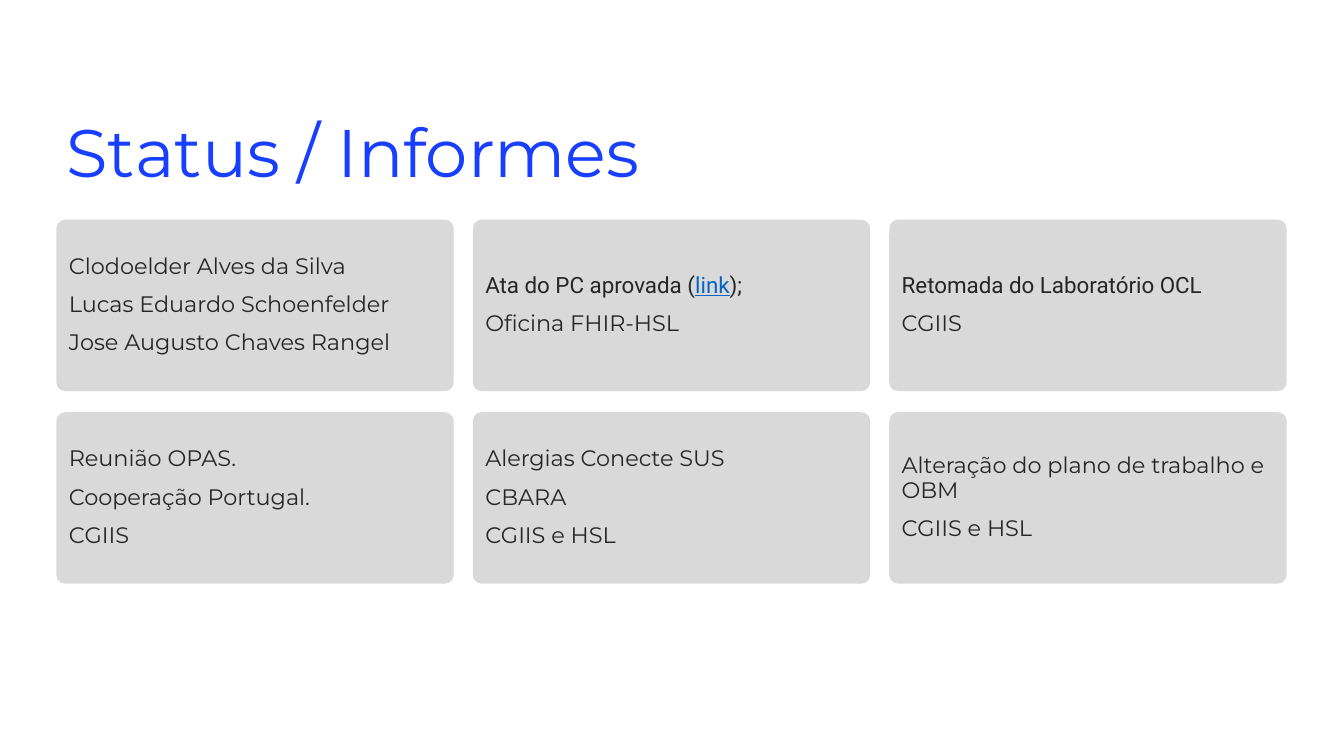
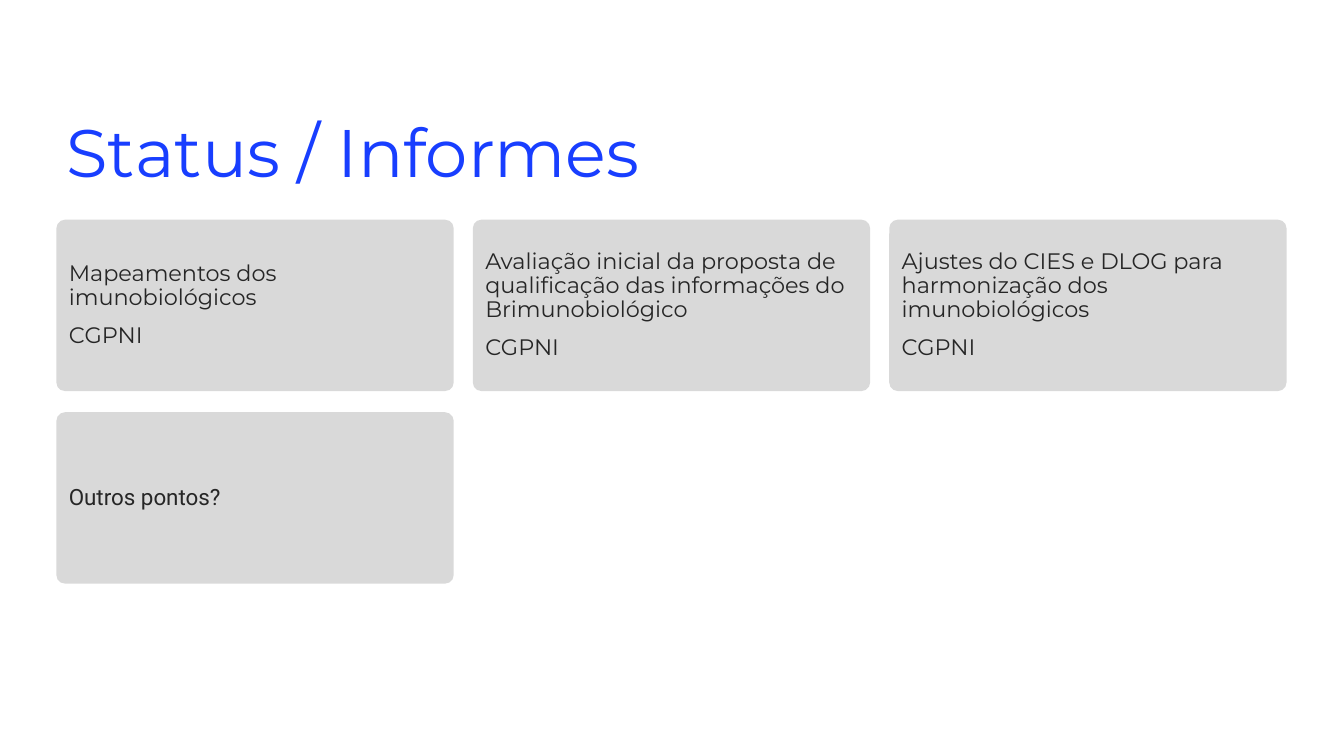
"""Build the two status slides, each a title over a grid of rounded cards."""
import pptx
import pptx.util
import pptx.dml.color
import pptx.enum.shapes
import pptx.enum.text

RGB = pptx.dml.color.RGBColor
ANCHOR = pptx.enum.text.MSO_ANCHOR
ALIGN = pptx.enum.text.PP_ALIGN
BLUE = RGB(0x18, 0x3E, 0xFF)
GRAY = RGB(0xD9, 0xD9, 0xD9)
INK = RGB(0x26, 0x26, 0x26)
LINK = RGB(0x05, 0x63, 0xC1)
MAIN = "Montserrat"
ALT = "Roboto"

SCALE = 9144
LEFT, TOP = 56, 218
WIDTH, HEIGHT = 394, 170
STEP_X, STEP_Y = 413, 191
COLS = 3

TITLE = "Status / Informes"
SLIDES = [
    [
        ["Clodoelder Alves da Silva", "Lucas Eduardo Schoenfelder",
         "Jose Augusto Chaves Rangel"],
        [[("Ata do PC aprovada (", ALT, INK), ("link", ALT, LINK),
          (");", ALT, INK)], "Oficina FHIR-HSL"],
        [[("Retomada do Laboratório OCL", ALT, INK)], "CGIIS"],
        ["Reunião OPAS.", "Cooperação Portugal.", "CGIIS"],
        ["Alergias Conecte SUS", "CBARA", "CGIIS e HSL"],
        ["Alteração do plano de trabalho e OBM", "CGIIS e HSL"],
    ],
    [
        ["Mapeamentos dos imunobiológicos", "CGPNI"],
        ["Avaliação inicial da proposta de qualificação das informações "
         "do Brimunobiológico", "CGPNI"],
        ["Ajustes do CIES e DLOG para harmonização dos imunobiológicos",
         "CGPNI"],
        [[("Outros pontos?", ALT, INK)]],
    ],
]


def px(num):
    return pptx.util.Emu(num * SCALE)


def add_run(para, text, face, size, color):
    run = para.add_run()
    run.text = text
    run.font.name = face
    run.font.size = pptx.util.Pt(size)
    run.font.color.rgb = color
    if color == LINK:
        run.font.underline = True


def set_para(para, first):
    para.alignment = ALIGN.LEFT
    para.line_spacing = 0.9
    para.space_before = pptx.util.Pt(0 if first else 10)


def set_title(slide):
    title = slide.shapes.title
    title.left, title.top = px(LEFT), px(111)
    title.width, title.height = px(873), px(65)
    frame = title.text_frame
    frame.auto_size = pptx.enum.text.MSO_AUTO_SIZE.NONE
    frame.vertical_anchor = ANCHOR.TOP
    frame.margin_top = px(8)
    para = frame.paragraphs[0]
    set_para(para, True)
    add_run(para, TITLE, MAIN, 48, BLUE)


def add_card(slide, spot, lines):
    row, col = divmod(spot, COLS)
    card = slide.shapes.add_shape(
        pptx.enum.shapes.MSO_SHAPE.ROUNDED_RECTANGLE,
        px(LEFT + col * STEP_X), px(TOP + row * STEP_Y),
        px(WIDTH), px(HEIGHT))
    card.adjustments[0] = 0.05
    card.shadow.inherit = False
    card.fill.solid()
    card.fill.fore_color.rgb = GRAY
    card.line.fill.background()
    frame = card.text_frame
    frame.word_wrap = True
    frame.vertical_anchor = ANCHOR.MIDDLE
    for rank, line in enumerate(lines):
        para = frame.add_paragraph() if rank else frame.paragraphs[0]
        set_para(para, rank == 0)
        runs = [(line, MAIN, INK)] if isinstance(line, str) else line
        for text, face, color in runs:
            add_run(para, text, face, 16, color)


def main():
    deck = pptx.Presentation()
    deck.slide_width, deck.slide_height = px(1333), px(750)
    for cards in SLIDES:
        slide = deck.slides.add_slide(deck.slide_layouts[5])
        set_title(slide)
        for spot, lines in enumerate(cards):
            add_card(slide, spot, lines)
    deck.save("out.pptx")


if __name__ == "__main__":
    main()
